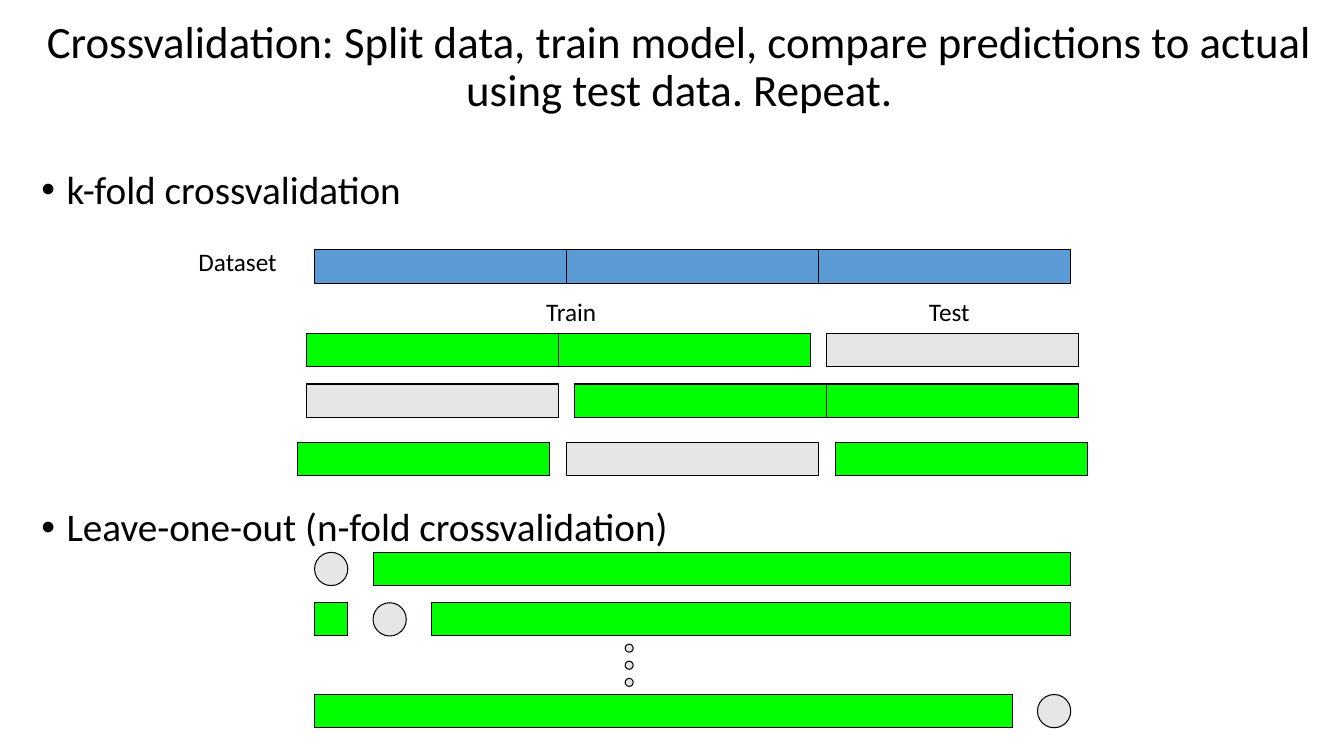
import pptx
import pptx.util
import pptx.dml.color
import pptx.enum.shapes
import pptx.enum.text
from pptx.util import Inches, Pt

COLORS = {
    "text": "000000",
    "line": "000000",
    "data": "5B9BD5",
    "train": "00FF00",
    "test": "E7E6E6",
}
FONT = "Calibri"
SHAPE = pptx.enum.shapes.MSO_SHAPE
ALIGN = pptx.enum.text.PP_ALIGN
ANCHOR = pptx.enum.text.MSO_ANCHOR
FIT = pptx.enum.text.MSO_AUTO_SIZE

SIDE = 0.33    # height of a bar, width of a single item
FOLD = 2.5     # width of one fold
LEFT = 3.12    # edges of the whole data set
RIGHT = 10.62
STEP = 0.58    # distance from one single item to the next
DOT = 0.08


def color(name):
    return pptx.dml.color.RGBColor.from_string(COLORS[name])


def place(shape, left, top, width, height):
    shape.left, shape.top = Inches(left), Inches(top)
    shape.width, shape.height = Inches(width), Inches(height)


def style(para, size, align):
    para.alignment = align
    for run in para.runs:
        run.font.name = FONT
        run.font.size = Pt(size)
        run.font.color.rgb = color("text")


def add_title(slide, text):
    title = slide.shapes.title
    place(title, 0.31, -0.05, 12.86, 1.45)
    frame = title.text_frame
    frame.text = text
    frame.auto_size = FIT.NONE
    frame.vertical_anchor = ANCHOR.MIDDLE
    frame.paragraphs[0].line_spacing = 0.9
    style(frame.paragraphs[0], 32, ALIGN.CENTER)


def add_list(slide, items, gap):
    body = slide.placeholders[1]
    place(body, 0.31, 1.64, 11.5, 4.76)
    frame = body.text_frame
    frame.text = "\n".join(items)
    frame.auto_size = FIT.NONE
    frame.vertical_anchor = ANCHOR.TOP
    for i, para in enumerate(frame.paragraphs):
        props = para._p.get_or_add_pPr()
        props.set("marL", str(Inches(0.25)))
        props.set("indent", str(-Inches(0.25)))
        para.line_spacing = 0.9
        para.space_before = Pt(gap if i else 0)
        style(para, 28, ALIGN.LEFT)


def add_label(slide, text, left, top, width, align):
    box = slide.shapes.add_textbox(
        Inches(left), Inches(top), Inches(width), Inches(0.4))
    frame = box.text_frame
    frame.word_wrap = True
    frame.auto_size = FIT.SHAPE_TO_FIT_TEXT
    frame.text = text
    style(frame.paragraphs[0], 18, align)


def add_part(slide, kind, fill, left, top, width, height=SIDE):
    part = slide.shapes.add_shape(
        kind, Inches(left), Inches(top), Inches(width), Inches(height))
    part.shadow.inherit = False
    part.fill.solid()
    part.fill.fore_color.rgb = color(fill)
    part.line.color.rgb = color("line")
    part.line.width = Pt(0.75)


def add_folds(slide, top, lefts, fills):
    for left, fill in zip(lefts, fills):
        add_part(slide, SHAPE.RECTANGLE, fill, left, top, FOLD)


def add_leave(slide, top, left):
    """One row with the left-out item at left and train bars beside it."""
    gap = STEP - SIDE
    add_part(slide, SHAPE.OVAL, "test", left, top, SIDE)
    for start, end in ((LEFT, left - gap), (left + STEP, RIGHT)):
        if end > start:
            add_part(slide, SHAPE.RECTANGLE, "train", start, top, end - start)


def main():
    deck = pptx.Presentation()
    deck.slide_width, deck.slide_height = Inches(13.33), Inches(7.5)
    slide = deck.slides.add_slide(deck.slide_layouts[1])

    # Title and list
    add_title(slide, "Crossvalidation: Split data, train model, compare "
                     "predictions to actual using test data. Repeat.")
    add_list(slide, ["k-fold crossvalidation",
                     "Leave-one-out (n-fold crossvalidation)"], 210.7)

    # Data set and its k folds
    train, test = "train", "test"
    rows = [
        (2.48, (3.12, 5.62, 8.12), ("data",) * 3),
        (3.31, (3.04, 5.54, 8.2), (train, train, test)),
        (3.81, (3.04, 5.7, 8.2), (test, train, train)),
        (4.39, (2.95, 5.62, 8.29), (train, test, train)),
    ]
    for row in rows:
        add_folds(slide, *row)
    add_label(slide, "Dataset", 1.87, 2.39, 1.25, ALIGN.LEFT)
    add_label(slide, "Train", 4.29, 2.89, 2.75, ALIGN.CENTER)
    add_label(slide, "Test", 8.04, 2.89, 2.75, ALIGN.CENTER)

    # Leave-one-out rows: first, second and last item
    add_leave(slide, 5.48, LEFT)
    add_leave(slide, 5.98, LEFT + STEP)
    add_leave(slide, 6.89, RIGHT - SIDE)
    for i in range(3):
        add_part(slide, SHAPE.OVAL, "test", 6.2, 6.39 + 0.17 * i, DOT, DOT)

    deck.save("out.pptx")


if __name__ == "__main__":
    main()
